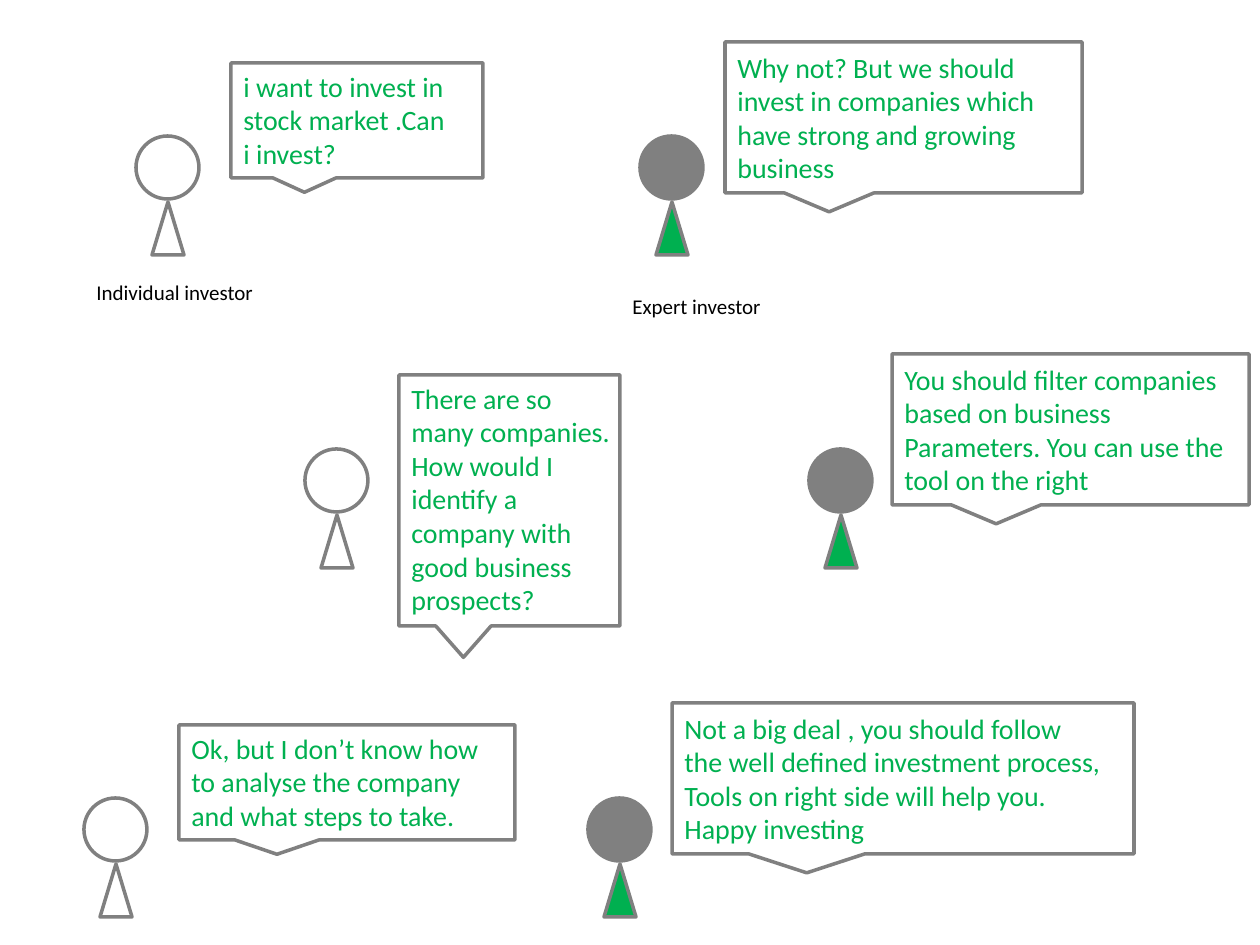
from pptx import Presentation
from pptx.dml.color import RGBColor
from pptx.enum.shapes import MSO_SHAPE
from pptx.enum.text import MSO_AUTO_SIZE
from pptx.util import Emu, Pt

OVAL = MSO_SHAPE.OVAL
TRIANGLE = MSO_SHAPE.ISOSCELES_TRIANGLE
CALLOUT = MSO_SHAPE.RECTANGULAR_CALLOUT
GROW = MSO_AUTO_SIZE.SHAPE_TO_FIT_TEXT

SCALE = 914400 / 126
WHITE, GRAY, GREEN, BLACK = "FFFFFF", "808080", "00B050", "000000"
HEAD = 63
EXPERT_OFFSET = 504

EXCHANGES = [
    {
        "head": (136, 136),
        "question": ("i want to invest in stock market .Can i invest?",
                     (231, 63, 252, 115), (231, 63, 231, 115)),
        "answer": ("Why not? But we should invest in companies which have "
                   "strong and growing business",
                   (725, 42, 357, 151), (725, 44, 357, 149)),
    },
    {
        "head": (305, 449),
        "question": ("There are so many companies. How would I identify a "
                     "company with good business prospects?",
                     (399, 375, 221, 251), (399, 375, 231, 251)),
        "answer": ("You should filter companies based on business Parameters. "
                   "You can use the tool on the right",
                   (892, 354, 357, 151), (892, 356, 357, 149)),
    },
    {
        "head": (84, 798),
        "question": ("Ok, but I don’t know how to analyse the company and "
                     "what steps to take.",
                     (179, 725, 336, 115), (179, 725, 336, 115)),
        "answer": ("Not a big deal , you should follow \n"
                   "the well defined investment process, Tools on right side "
                   "will help you.\nHappy investing",
                   (672, 703, 462, 151), (672, 705, 462, 149)),
    },
]
ROLES = [
    ("Individual investor", (84, 273, 221, 38)),
    ("Expert investor", (620, 287, 221, 38)),
]


def emu(box):
    return [Emu(round(length * SCALE)) for length in box]


def rgb(value):
    return RGBColor.from_string(value)


def add_outlined(kind, box, fill):
    shape = slide.shapes.add_shape(kind, *emu(box))
    shape.shadow.inherit = False
    shape.fill.solid()
    shape.fill.fore_color.rgb = rgb(fill)
    shape.line.color.rgb = rgb(GRAY)
    shape.line.width = Pt(2)


def add_text(text, box, size=16, color=GREEN, font="Calibri"):
    frame = slide.shapes.add_textbox(*emu(box)).text_frame
    frame.word_wrap = True
    frame.auto_size = GROW
    frame.text = text
    for paragraph in frame.paragraphs:
        for run in paragraph.runs:
            run.font.name = font
            run.font.size = Pt(size)
            run.font.color.rgb = rgb(color)


def add_person(left, top, head_fill, body_fill):
    add_outlined(OVAL, (left, top, HEAD, HEAD), head_fill)
    add_outlined(TRIANGLE, (left + 16, top + 66, 32, 53), body_fill)


prs = Presentation()
prs.slide_width, prs.slide_height = emu((1260, 945))
slide = prs.slides.add_slide(prs.slide_layouts[6])

for exchange in EXCHANGES:
    left, top = exchange["head"]
    add_person(left, top, WHITE, WHITE)
    add_person(left + EXPERT_OFFSET, top, GRAY, GREEN)
    for speaker in ("question", "answer"):
        words, bubble, text_area = exchange[speaker]
        add_outlined(CALLOUT, bubble, WHITE)
        add_text(words, text_area)

for role, box in ROLES:
    add_text(role, box, size=12, color=BLACK)

prs.save("out.pptx")
